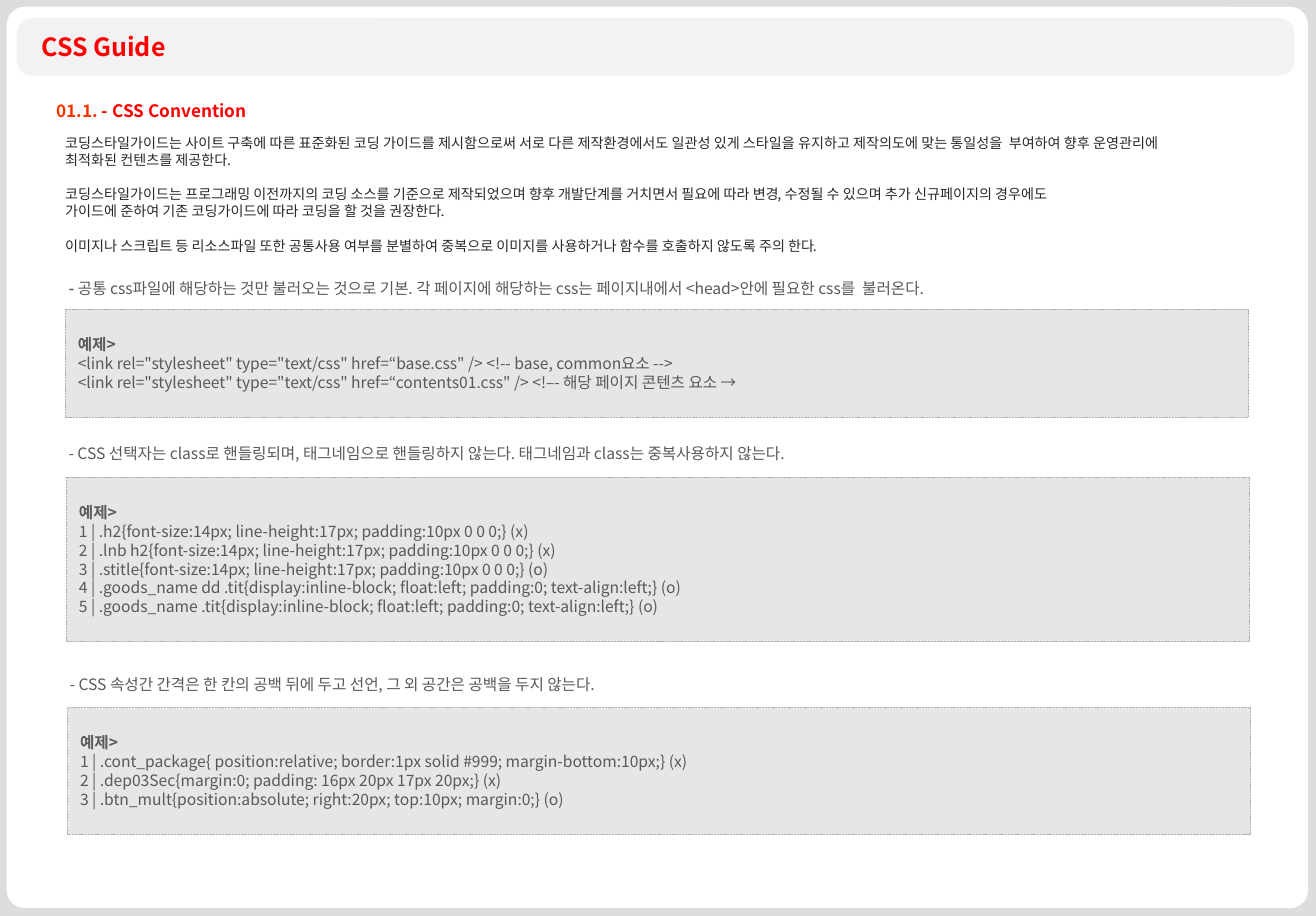
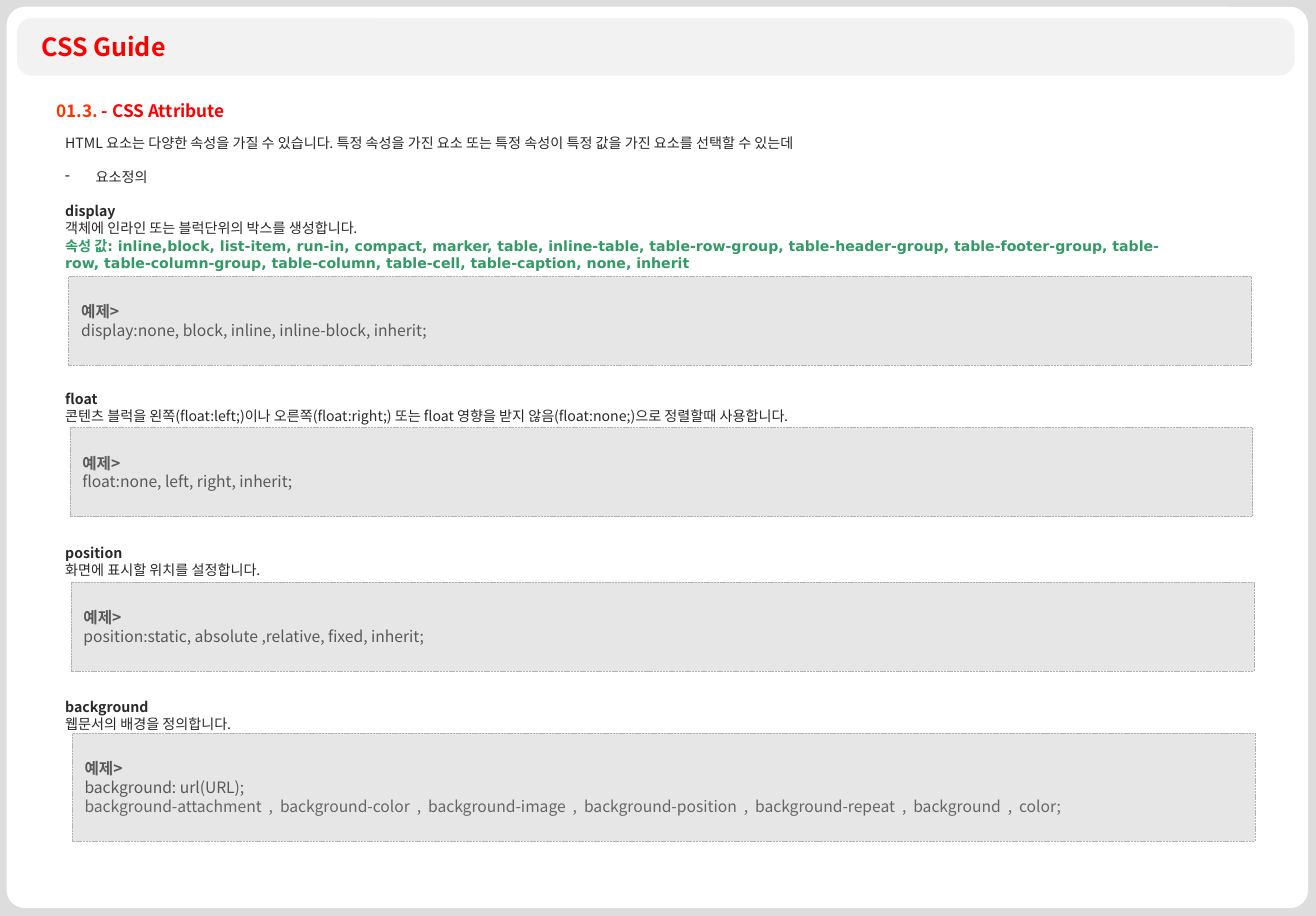
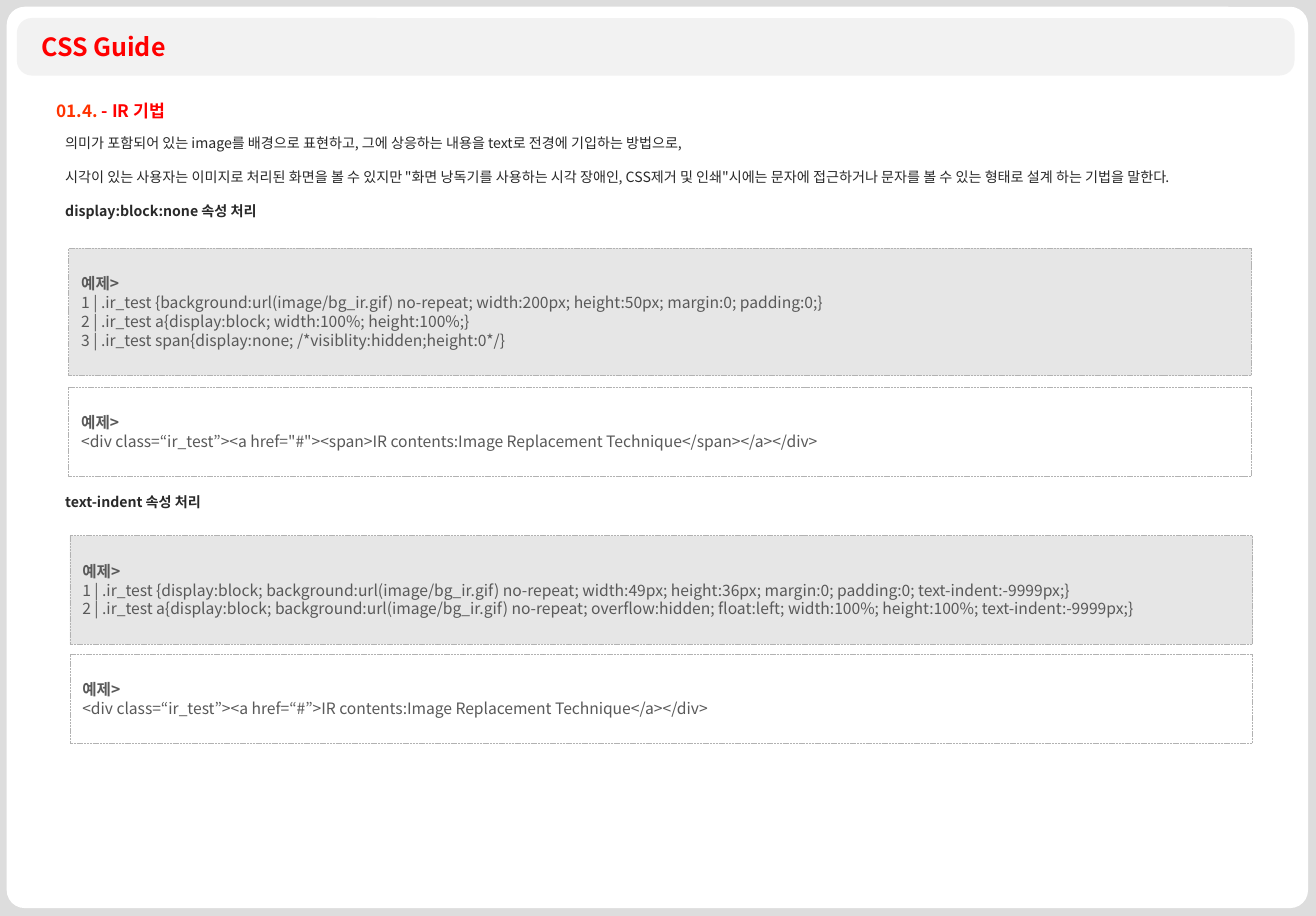
from dataclasses import dataclass, replace

from lxml import etree
from pptx import Presentation
from pptx import util as u
from pptx.dml.color import RGBColor
from pptx.enum import dml, shapes, text
from pptx.oxml.ns import qn

PX = 9144
PAGE_W, PAGE_H = 1167, 812
FONT = "Noto Sans CJK KR"
VALUE_FONT = "DejaVu Sans"

PAGE_GRAY = RGBColor(0xDD, 0xDD, 0xDD)
WHITE = RGBColor(0xFF, 0xFF, 0xFF)
BAND_GRAY = RGBColor(0xC0, 0xC0, 0xC0)
CODE_GRAY = RGBColor(0xE6, 0xE6, 0xE6)
BORDER_GRAY = RGBColor(0xB2, 0xB2, 0xB2)
RED = RGBColor(0xFF, 0x00, 0x00)
ORANGE = RGBColor(0xFF, 0x33, 0x00)
INK = RGBColor(0x29, 0x29, 0x29)
CODE_INK = RGBColor(0x59, 0x59, 0x59)
PALE_INK = RGBColor(0x66, 0x66, 0x66)
GREEN = RGBColor(0x33, 0x99, 0x66)

CODE_W = 1049
CODE_PAD_X, CODE_PAD_Y = 11, 23
BULLET_INDENT = 27


@dataclass(frozen=True)
class Style:
    size: float
    leading: float
    color: RGBColor
    bold: bool = False
    font: str = FONT


TITLE = Style(16, 19.3, RED, True)
SECTION = Style(11, 13.3, RED, True)
SECTION_NUMBER = replace(SECTION, color=ORANGE)
BODY = Style(9, 10.9, INK)
TERM = replace(BODY, bold=True)
VALUES = replace(TERM, color=GREEN, font=VALUE_FONT)
CODE = Style(10, 12, CODE_INK)
CODE_HEAD = replace(CODE, bold=True)
CODE_PALE = replace(CODE, color=PALE_INK)
DASH = replace(CODE_PALE, bold=True)


@dataclass(frozen=True)
class Run:
    words: str
    style: Style


@dataclass(frozen=True)
class Para:
    runs: tuple[Run, ...]
    gap_lines: int = 0
    bullet: str = ""


@dataclass(frozen=True)
class Box:
    left: int
    top: int
    width: int
    height: int


@dataclass(frozen=True)
class Note:
    box: Box
    para: Para


@dataclass(frozen=True)
class Example:
    left: int
    top: int
    lines: tuple[Para, ...]
    fill: RGBColor = CODE_GRAY


@dataclass(frozen=True)
class Page:
    number: str
    heading: str
    heading_width: int
    body_height: int
    body: tuple[Para, ...]
    examples: tuple[Example, ...]
    notes: tuple[Note, ...] = ()


def para(words: str, style: Style = BODY, gap_lines: int = 0, bullet: str = "") -> Para:
    return Para((Run(words, style),), gap_lines, bullet)


def code(*lines: str) -> tuple[Para, ...]:
    return tuple(para(line, CODE) for line in lines)


def px(length: int) -> int:
    return u.Emu(length * PX)


def place(box: Box) -> tuple[int, int, int, int]:
    return px(box.left), px(box.top), px(box.width), px(box.height)


def add_run(paragraph, run: Run) -> None:
    part = paragraph.add_run()
    part.text = run.words
    font = part.font
    font.size = u.Pt(run.style.size)
    font.bold = run.style.bold
    font.color.rgb = run.style.color
    font.name = run.style.font
    etree.SubElement(font._element, qn("a:ea")).set("typeface", FONT)


def add_bullet(paragraph, mark: str) -> None:
    props = paragraph._p.get_or_add_pPr()
    props.set("marL", str(px(BULLET_INDENT)))
    props.set("indent", str(-px(BULLET_INDENT)))
    etree.SubElement(props, qn("a:buChar")).set("char", mark)


def write(frame, paras: tuple[Para, ...]) -> None:
    for index, content in enumerate(paras):
        paragraph = frame.add_paragraph() if index else frame.paragraphs[0]
        leading = content.runs[0].style.leading
        paragraph.alignment = text.PP_ALIGN.LEFT
        paragraph.line_spacing = u.Pt(leading)
        paragraph.space_before = u.Pt(leading * content.gap_lines)
        if content.bullet:
            add_bullet(paragraph, content.bullet)
        for run in content.runs:
            add_run(paragraph, run)


def add_text(slide, box: Box, paras: tuple[Para, ...], wrap: bool = True) -> None:
    frame = slide.shapes.add_textbox(*place(box)).text_frame
    frame.word_wrap = wrap
    if not wrap:
        frame.auto_size = text.MSO_AUTO_SIZE.SHAPE_TO_FIT_TEXT
    write(frame, paras)


def add_panel(slide, box: Box, fill: RGBColor, rounding: float = 0):
    kind = shapes.MSO_SHAPE.ROUNDED_RECTANGLE if rounding else shapes.MSO_SHAPE.RECTANGLE
    panel = slide.shapes.add_shape(kind, *place(box))
    if rounding:
        panel.adjustments[0] = rounding
    panel.shadow.inherit = False
    panel.fill.solid()
    panel.fill.fore_color.rgb = fill
    panel.line.fill.background()
    return panel


def add_frame(slide) -> None:
    add_panel(slide, Box(0, 0, PAGE_W, PAGE_H), PAGE_GRAY)
    add_panel(slide, Box(6, 6, 1154, 799), WHITE, 0.02)
    band = add_panel(slide, Box(15, 16, 1133, 51), BAND_GRAY, 0.26)
    tint = band._element.spPr.find(qn("a:solidFill"))[0]
    etree.SubElement(tint, qn("a:alpha")).set("val", "20000")
    add_text(slide, Box(27, 23, 131, 37), (para("CSS Guide", TITLE),), wrap=False)


def add_example(slide, example: Example) -> None:
    lines = (para("예제>", CODE_HEAD), *example.lines)
    height = round(2 * CODE_PAD_Y + len(lines) * CODE.leading * 100 / 72)
    panel = add_panel(slide, Box(example.left, example.top, CODE_W, height), example.fill)
    panel.line.color.rgb = BORDER_GRAY
    panel.line.width = u.Pt(0.5)
    panel.line.dash_style = dml.MSO_LINE.SQUARE_DOT
    frame = panel.text_frame
    frame.word_wrap = True
    frame.vertical_anchor = text.MSO_ANCHOR.TOP
    frame.margin_left = frame.margin_right = px(CODE_PAD_X)
    frame.margin_top = frame.margin_bottom = px(CODE_PAD_Y)
    write(frame, lines)


def add_page(deck, page: Page) -> None:
    slide = deck.slides.add_slide(deck.slide_layouts[6])
    add_frame(slide)
    heading = Para((Run(page.number, SECTION_NUMBER), Run(f" - {page.heading}", SECTION)))
    add_text(slide, Box(40, 84, page.heading_width, 29), (heading,), wrap=False)
    add_text(slide, Box(48, 114, 1019, page.body_height), page.body)
    for note in page.notes:
        add_text(slide, note.box, (note.para,))
    for example in page.examples:
        add_example(slide, example)


CONVENTION = Page(
    "01.1.", "CSS Convention", 189, 116,
    body=(
        para("코딩스타일가이드는 사이트 구축에 따른 표준화된 코딩 가이드를 제시함으로써 서로 다른 제작환경에서도 "
             "일관성 있게 스타일을 유지하고 제작의도에 맞는 통일성을  부여하여 향후 운영관리에 최적화된 컨텐츠를 제공한다."),
        para("코딩스타일가이드는 프로그래밍 이전까지의 코딩 소스를 기준으로 제작되었으며 향후 개발단계를 거치면서 "
             "필요에 따라 변경, 수정될 수 있으며 추가 신규페이지의 경우에도", gap_lines=1),
        para("가이드에 준하여 기존 코딩가이드에 따라 코딩을 할 것을 권장한다."),
        para("이미지나 스크립트 등 리소스파일 또한 공통사용 여부를 분별하여 중복으로 이미지를 사용하거나 "
             "함수를 호출하지 않도록 주의 한다.", gap_lines=1),
    ),
    notes=(
        Note(Box(51, 242, 869, 27), Para((
            Run("- ", DASH),
            Run("공통 css파일에 해당하는 것만 불러오는 것으로 기본. 각 페이지에 해당하는 css는 페이지내에서 "
                "<head>안에 필요한 css를  불러온다.", CODE),
        ))),
        Note(Box(51, 389, 1058, 27), para(
            "- CSS 선택자는 class로 핸들링되며, 태그네임으로 핸들링하지 않는다. "
            "태그네임과 class는 중복사용하지 않는다.", CODE)),
        Note(Box(52, 593, 1058, 27), para(
            "- CSS 속성간 간격은 한 칸의 공백 뒤에 두고 선언, 그 외 공간은 공백을 두지 않는다.", CODE)),
    ),
    examples=(
        Example(58, 274, code(
            '<link rel="stylesheet" type="text/css" href=“base.css" /> <!-- base, common요소 -->',
            '<link rel="stylesheet" type="text/css" href=“contents01.css" /> <!–- 해당 페이지 콘텐츠 요소 →',
        )),
        Example(59, 423, code(
            "1 | .h2{font-size:14px; line-height:17px; padding:10px 0 0 0;} (x)",
            "2 | .lnb h2{font-size:14px; line-height:17px; padding:10px 0 0 0;} (x)",
            "3 | .stitle{font-size:14px; line-height:17px; padding:10px 0 0 0;} (o)",
            "4 | .goods_name dd .tit{display:inline-block; float:left; padding:0; text-align:left;} (o)",
            "5 | .goods_name .tit{display:inline-block; float:left; padding:0; text-align:left;} (o)",
        )),
        Example(60, 627, code(
            "1 | .cont_package{ position:relative; border:1px solid #999; margin-bottom:10px;} (x)",
            "2 | .dep03Sec{margin:0; padding: 16px 20px 17px 20px;} (x)",
            "3 | .btn_mult{position:absolute; right:20px; top:10px; margin:0;} (o)",
        )),
    ),
)

ATTRIBUTE = Page(
    "01.3.", "CSS Attribute", 174, 661,
    body=(
        para("HTML 요소는 다양한 속성을 가질 수 있습니다. 특정 속성을 가진 요소 또는 특정 속성이 "
             "특정 값을 가진 요소를 선택할 수 있는데"),
        para("요소정의", gap_lines=1, bullet="-"),
        para("display", TERM, gap_lines=1),
        para("객체에 인라인 또는 블럭단위의 박스를 생성합니다."),
        para("속성 값: inline,block, list-item, run-in, compact, marker, table, inline-table, table-row-group, "
             "table-header-group, table-footer-group, table-row, table-column-group, table-column, table-cell, "
             "table-caption, none, inherit", VALUES),
        para("float", TERM, gap_lines=7),
        para("콘텐츠 블럭을 왼쪽(float:left;)이나 오른쪽(float:right;) 또는 float 영향을 받지 않음(float:none;)으로 "
             "정렬할때 사용합니다."),
        para("position", TERM, gap_lines=7),
        para("화면에 표시할 위치를 설정합니다."),
        para("background", TERM, gap_lines=7),
        para("웹문서의 배경을 정의합니다."),
    ),
    examples=(
        Example(61, 245, code("display:none, block, inline, inline-block, inherit;")),
        Example(62, 379, code("float:none, left, right, inherit;")),
        Example(63, 516, code("position:static, absolute ,relative, fixed, inherit;")),
        Example(64, 650, (
            para("background: url(URL);", CODE),
            para("background-attachment  ,  background-color  ,  background-image  ,  background-position  ,  "
                 "background-repeat  ,  background  ,  color;", CODE_PALE),
        )),
    ),
)

REPLACEMENT = Page(
    "01.4.", "IR 기법", 123, 449,
    body=(
        para("의미가 포함되어 있는 image를 배경으로 표현하고, 그에 상응하는 내용을 text로 전경에 기입하는 방법으로,"),
        para('시각이 있는 사용자는 이미지로 처리된 화면을 볼 수 있지만 "화면 낭독기를 사용하는 시각 장애인, '
             'CSS제거 및 인쇄"시에는 문자에 접근하거나 문자를 볼 수 있는 형태로 설계 하는 기법을 말한다.',
             gap_lines=1),
        para("display:block:none 속성 처리", TERM, gap_lines=1),
        para("text-indent 속성 처리", TERM, gap_lines=16),
    ),
    examples=(
        Example(61, 220, code(
            "1 | .ir_test {background:url(image/bg_ir.gif) no-repeat; width:200px; height:50px; "
            "margin:0; padding:0;}",
            "2 | .ir_test a{display:block; width:100%; height:100%;}",
            "3 | .ir_test span{display:none; /*visiblity:hidden;height:0*/}",
        )),
        Example(61, 343, code(
            '<div class=“ir_test”><a href="#"><span>IR contents:Image Replacement Technique</span></a></div>',
        ), WHITE),
        Example(62, 475, code(
            "1 | .ir_test {display:block; background:url(image/bg_ir.gif) no-repeat; width:49px; height:36px; "
            "margin:0; padding:0; text-indent:-9999px;}",
            "2 | .ir_test a{display:block; background:url(image/bg_ir.gif) no-repeat; overflow:hidden; float:left; "
            "width:100%; height:100%; text-indent:-9999px;}",
        )),
        Example(62, 580, code(
            "<div class=“ir_test”><a href=“#”>IR contents:Image Replacement Technique</a></div>",
        ), WHITE),
    ),
)


def main() -> None:
    deck = Presentation()
    deck.slide_width, deck.slide_height = px(PAGE_W), px(PAGE_H)
    for page in (CONVENTION, ATTRIBUTE, REPLACEMENT):
        add_page(deck, page)
    deck.save("out.pptx")


if __name__ == "__main__":
    main()
